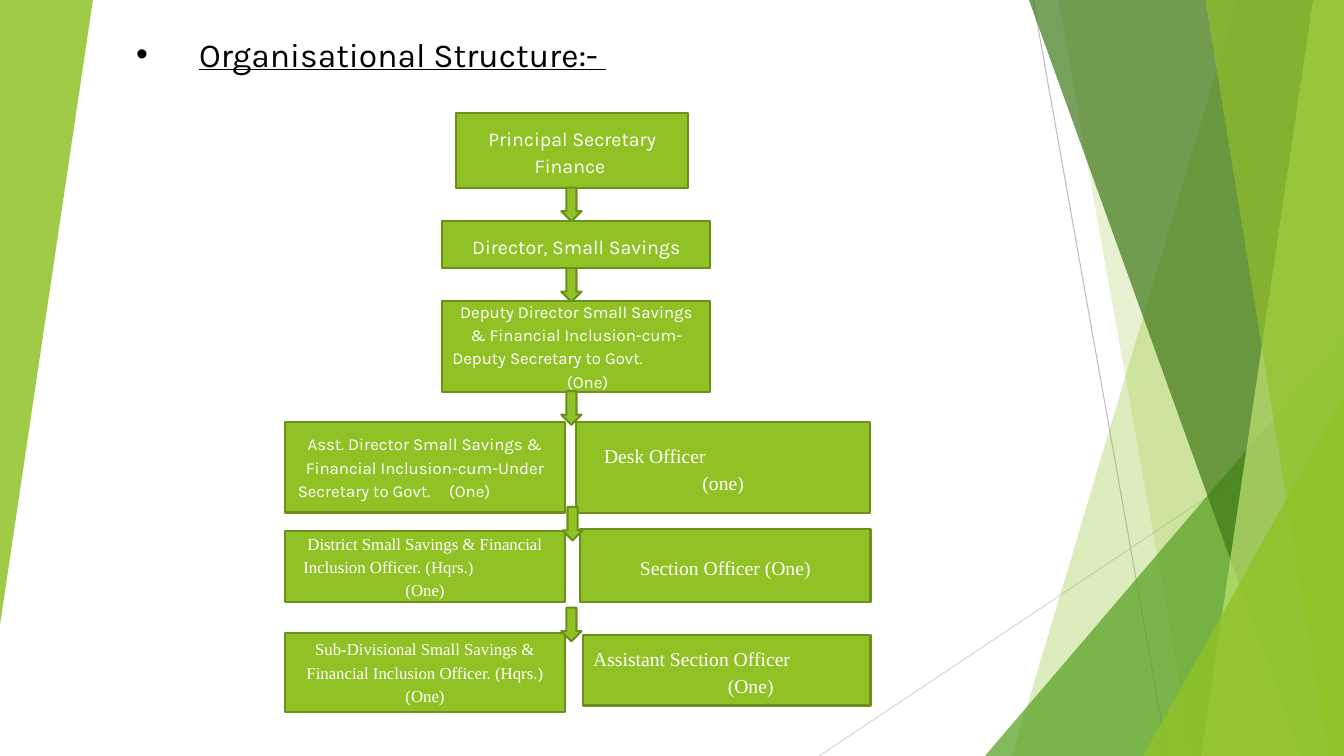
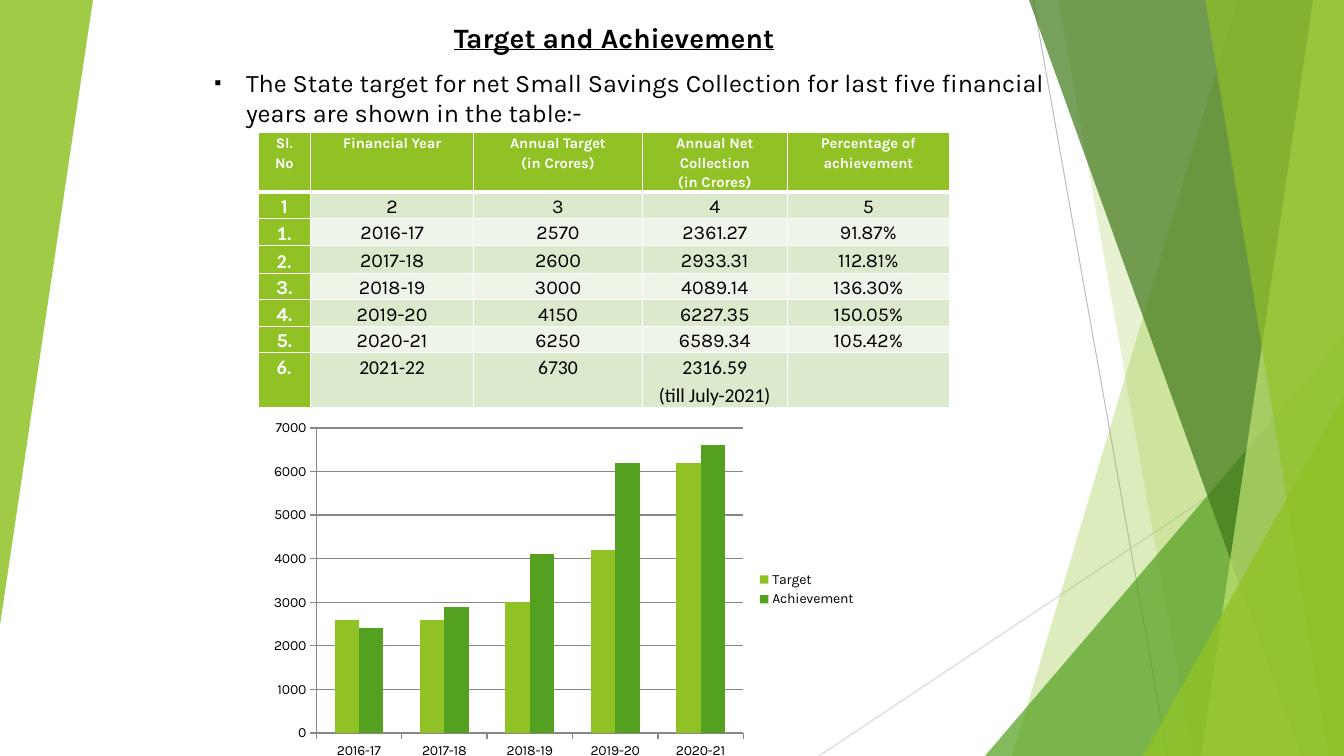
from dataclasses import dataclass

from pptx import Presentation
from pptx.chart.data import CategoryChartData
from pptx.dml.color import RGBColor
from pptx.enum.chart import XL_CHART_TYPE as Chart, XL_LEGEND_POSITION as Legend, XL_TICK_MARK as Tick
from pptx.enum.shapes import MSO_CONNECTOR as Link, MSO_SHAPE as Shape
from pptx.enum.text import MSO_ANCHOR as Anchor, MSO_AUTO_SIZE as Fit, PP_ALIGN as Align
from pptx.oxml.ns import qn
from pptx.oxml.xmlchemy import OxmlElement as Node
from pptx.util import Pt


@dataclass(frozen=True)
class Theme:
    lime: str = "90C226"
    green: str = "54A021"
    forest: str = "3F7819"
    pale: str = "C0E474"
    edge: str = "6B901C"
    band: str = "DBE9CD"
    light: str = "EEF4E8"
    white: str = "FFFFFF"
    black: str = "000000"
    grid: str = "878787"
    sans: str = "Karla"
    serif: str = "Times New Roman"
    digit: str = "Calibri"
    head: int = 24
    sub: int = 20
    body: int = 18
    label: int = 14
    small: int = 12
    th: float = 10.5
    tick: int = 10


T = Theme()
WIDE, HIGH = 960, 540

# Box, font, size, then paragraphs: text, alignment, left indent
LEFT, MID = Align.LEFT, Align.CENTER
POSTS = [
    ((326, 81, 165.6, 53.3), T.sans, T.label,
     [("Principal Secretary Finance ", MID, 0)]),
    ((316, 158, 191.5, 33.7), T.sans, T.label,
     [("Director, Small Savings", MID, 0)]),
    ((316, 215, 191.5, 65), T.sans, T.small,
     [("Deputy Director Small Savings & Financial Inclusion-cum-", MID, 0),
      ("Deputy Secretary to Govt.", LEFT, 0), ("(One)", MID, 16)]),
    ((203.6, 301.5, 200, 64.6), T.sans, T.small,
     [("Asst. Director Small Savings & Financial Inclusion-cum-Under", MID, 0),
      ("Secretary to Govt.\t(One)", LEFT, 2)]),
    ((203.6, 379.5, 200, 50.5), T.serif, T.small,
     [("District Small Savings & Financial", MID, 0),
      ("Inclusion Officer. (Hqrs.)", LEFT, 6), ("(One)", MID, 0)]),
    ((203.6, 452, 200, 56.5), T.serif, T.small,
     [("Sub-Divisional Small Savings & Financial Inclusion Officer. (Hqrs.) (One)", MID, 0)]),
    ((411.4, 301.5, 210.4, 65), T.serif, T.label,
     [("Desk Officer", LEFT, 13), ("(one)", MID, 0)]),
    ((414.5, 378, 207.3, 52), T.serif, T.label,
     [("Section Officer (One)", MID, 0)]),
    ((416.6, 453.5, 205.2, 50.5), T.serif, T.label,
     [("Assistant Section Officer", LEFT, 0), ("(One)", MID, 34)]),
]
ARROWS = [(401, 134), (401, 191.5), (401, 279.4), (401.8, 362), (401, 434)]

HEADS = ["Sl.\nNo", "Financial Year", "Annual Target\n(in Crores)",
         "Annual Net Collection\n(in Crores)", "Percentage of achievement"]
YEARS = [
    ("2016-17", 2570, 2361.27, "91.87%"),
    ("2017-18", 2600, 2933.31, "112.81%"),
    ("2018-19", 3000, 4089.14, "136.30%"),
    ("2019-20", 4150, 6227.35, "150.05%"),
    ("2020-21", 6250, 6589.34, "105.42%"),
]
LAST = ["6.", "2021-22", "6730", "2316.59\n(till July-2021)", ""]


def rgb(code):
    return RGBColor.from_string(code)


def pts(*nums):
    return [Pt(n) for n in nums]


def place(shape, box):
    shape.left, shape.top, shape.width, shape.height = pts(*box)


def style(font, name, size, color, bold=False):
    font.name, font.size, font.bold = name, Pt(size), bold
    font.color.rgb = rgb(color)


def paint(shape, color, alpha=100, edge=None):
    shape.shadow.inherit = False
    shape.fill.solid()
    shape.fill.fore_color.rgb = rgb(color)
    if alpha < 100:
        node = Node("a:alpha")
        node.set("val", str(alpha * 1000))
        next(shape.element.iter(qn("a:srgbClr"))).append(node)
    if edge:
        shape.line.color.rgb = rgb(edge)
        shape.line.width = Pt(1.5)
    else:
        shape.line.fill.background()


def props(para, left=0, hang=0):
    node = para._p.get_or_add_pPr()
    node.set("marL", str(Pt(left)))
    node.set("indent", str(Pt(-hang)))
    return node


def bullet(para, char, hang, scale=100):
    node = props(para, hang, hang)
    for tag, key, val in (("a:buSzPct", "val", str(scale * 1000)),
                          ("a:buFont", "typeface", "Arial"),
                          ("a:buChar", "char", char)):
        child = Node(tag)
        child.set(key, val)
        node.append(child)


def stop(para, pos):
    """Add a left-aligned tab stop."""
    tabs, tab = Node("a:tabLst"), Node("a:tab")
    tab.set("pos", str(Pt(pos)))
    tab.set("algn", "l")
    tabs.append(tab)
    para._p.get_or_add_pPr().append(tabs)


def fill_in(holder, box, text, anchor, align):
    """Move a placeholder, write its text and return the paragraph."""
    place(holder, box)
    frame = holder.text_frame
    frame.text = text
    frame.auto_size, frame.word_wrap, frame.vertical_anchor = Fit.NONE, True, anchor
    para = frame.paragraphs[0]
    para.alignment, para.space_before = align, Pt(0)
    return para


def decor(prs, slide):
    """Draw the facets in one group and hand it to the slide master."""
    group = slide.shapes.add_group_shape()
    parts = group.shapes

    def ray(color, *ends):
        line = parts.add_connector(Link.STRAIGHT, *pts(*ends))
        line.line.color.rgb, line.line.width = rgb(color), Pt(0.75)
        line.element.find(qn("p:spPr")).append(Node("a:effectLst"))

    def shard(top, base, color, alpha):
        path = parts.build_freeform(Pt(top), 0)
        path.add_line_segments([pts(WIDE, 0), pts(WIDE, HIGH), pts(base, HIGH)])
        paint(path.convert_to_shape(), color, alpha)

    def wedge(box, color, alpha, turn=0):
        shape = parts.add_shape(Shape.ISOSCELES_TRIANGLE, *pts(*box))
        shape.adjustments[0], shape.rotation = 1, turn
        paint(shape, color, alpha)

    ray("BFBFBF", 738, 0, 834, HIGH)
    ray("D9D9D9", WIDE, 290, 585, HIGH)
    shard(884, 723, T.lime, 30)
    shard(756, 852, T.lime, 20)
    wedge((703.5, 240, 256.5, 300), T.green, 72)
    shard(735, 929.5, T.forest, 70)
    shard(938, 858, T.pale, 70)
    shard(861, 949, T.lime, 65)
    wedge((816.5, 283, 143.5, 257), T.lime, 80)
    wedge((0, 0, 66.4, 446.4), T.lime, 85, 180)

    tree = prs.slide_master.shapes.element
    tree.insert(2, group.element)
    for num, node in enumerate(tree.iter(qn("p:cNvPr")), 1):
        node.set("id", str(num))


def post(slide, box, face, size, lines):
    shape = slide.shapes.add_shape(Shape.RECTANGLE, *pts(*box))
    paint(shape, T.lime, edge=T.edge)
    frame = shape.text_frame
    frame.word_wrap, frame.vertical_anchor = True, Anchor.MIDDLE
    frame.margin_top, frame.margin_bottom = pts(0, 2 if size == T.small else 0)
    for num, (text, align, left) in enumerate(lines):
        para = frame.add_paragraph() if num else frame.paragraphs[0]
        para.text, para.alignment, para.line_spacing = text, align, 1.15
        props(para, left)
        if "\t" in text:
            stop(para, 153.5)
        style(para.font, face, size, T.white)


def org(slide):
    title = fill_in(slide.shapes.title, (90, 11.5, 611, 45),
                    "Organisational Structure:- ", Anchor.BOTTOM, LEFT)
    bullet(title, "•", 45)
    style(title.font, T.sans, T.head, T.black)
    title.font.underline = True
    for item in POSTS:
        post(slide, *item)
    for left, top in ARROWS:
        paint(slide.shapes.add_shape(Shape.DOWN_ARROW, *pts(left, top, 14.4, 24)),
              T.lime, edge=T.edge)


def border(cell, base):
    """Give a cell white edges, the lower one of the given width."""
    node = cell._tc.get_or_add_tcPr()
    for side, width in zip("LRTB", (1, 1, 1, base)):
        line, fill, color = Node(f"a:ln{side}"), Node("a:solidFill"), Node("a:srgbClr")
        line.set("w", str(Pt(width)))
        color.set("val", T.white)
        fill.append(color)
        line.append(fill)
        node.append(line)


def grid(slide, left, top):
    rows = [HEADS, list("12345")]
    rows += [[f"{num}.", *map(str, year)] for num, year in enumerate(YEARS, 1)] + [LAST]
    wide = [37.5, 116.5, 120.5, 103.5, 116]
    high = [42.4] + [18.9] * 6 + [38.5]
    frame = slide.shapes.add_table(len(rows), len(wide), *pts(left, top, sum(wide), sum(high)))
    table = frame.table
    table.horz_banding = False
    for col, size in zip(table.columns, wide):
        col.width = Pt(size)
    for r, row in enumerate(rows):
        table.rows[r].height = Pt(high[r])
        for c, text in enumerate(row):
            cell = table.cell(r, c)
            cell.text = text
            cell.margin_left = cell.margin_right = Pt(5)
            cell.margin_top = cell.margin_bottom = 0
            strong = r == 0 or c == 0
            border(cell, 1 if r else 3)
            cell.fill.solid()
            cell.fill.fore_color.rgb = rgb(T.lime if strong else T.band if r % 2 else T.light)
            face = T.digit if row is LAST or text in ("1.", "2.") else T.sans
            for para in cell.text_frame.paragraphs:
                para.alignment, para.line_spacing = MID, 1.15
                style(para.font, face, T.label if r else T.th,
                      T.white if strong else T.black, strong)


def bars(slide, box):
    data = CategoryChartData()
    data.categories = [year[0] for year in YEARS]
    for name, col in (("Target", 1), ("Achievement", 2)):
        data.add_series(name, [round(year[col], -2) for year in YEARS])
    chart = slide.shapes.add_chart(Chart.COLUMN_CLUSTERED, *pts(*box), data).chart
    style(chart.font, T.sans, T.tick, T.black)
    chart.has_title, chart.has_legend = False, True
    chart.legend.position, chart.legend.include_in_layout = Legend.RIGHT, False
    plot = chart.plots[0]
    plot.gap_width, plot.overlap, plot.vary_by_categories = 150, 0, False
    for series, color in zip(plot.series, (T.lime, T.green)):
        series.format.fill.solid()
        series.format.fill.fore_color.rgb = rgb(color)
    value = chart.value_axis
    value.minimum_scale, value.maximum_scale, value.major_unit = 0, 7000, 1000
    value.tick_labels.number_format, value.tick_labels.number_format_is_linked = "0", False
    value.has_major_gridlines = True
    for axis in (value, chart.category_axis):
        axis.major_tick_mark = Tick.OUTSIDE
    for part in (value.major_gridlines, value, chart.category_axis):
        part.format.line.color.rgb = rgb(T.grid)
        part.format.line.width = Pt(1)


def target(slide):
    title = fill_in(slide.shapes.title, (87, 15, 667.5, 27),
                    "Target and Achievement", Anchor.BOTTOM, MID)
    props(title, 36)
    style(title.font, T.sans, T.sub, T.black, True)
    title.font.underline = True
    intro = fill_in(slide.placeholders[1], (146, 44.3, 610.5, 56),
                    "The State target for net Small Savings Collection for last five "
                    "financial years are shown in the table:-", Anchor.TOP, LEFT)
    bullet(intro, "▪", 22.5, 80)
    style(intro.font, T.sans, T.body, T.black)
    grid(slide, 184.4, 94.7)
    bars(slide, (187, 295, 432, 252))


def main():
    prs = Presentation()
    prs.slide_width, prs.slide_height = pts(WIDE, HIGH)
    first = prs.slides.add_slide(prs.slide_layouts[5])
    decor(prs, first)
    org(first)
    target(prs.slides.add_slide(prs.slide_layouts[0]))
    prs.save("out.pptx")


if __name__ == "__main__":
    main()
